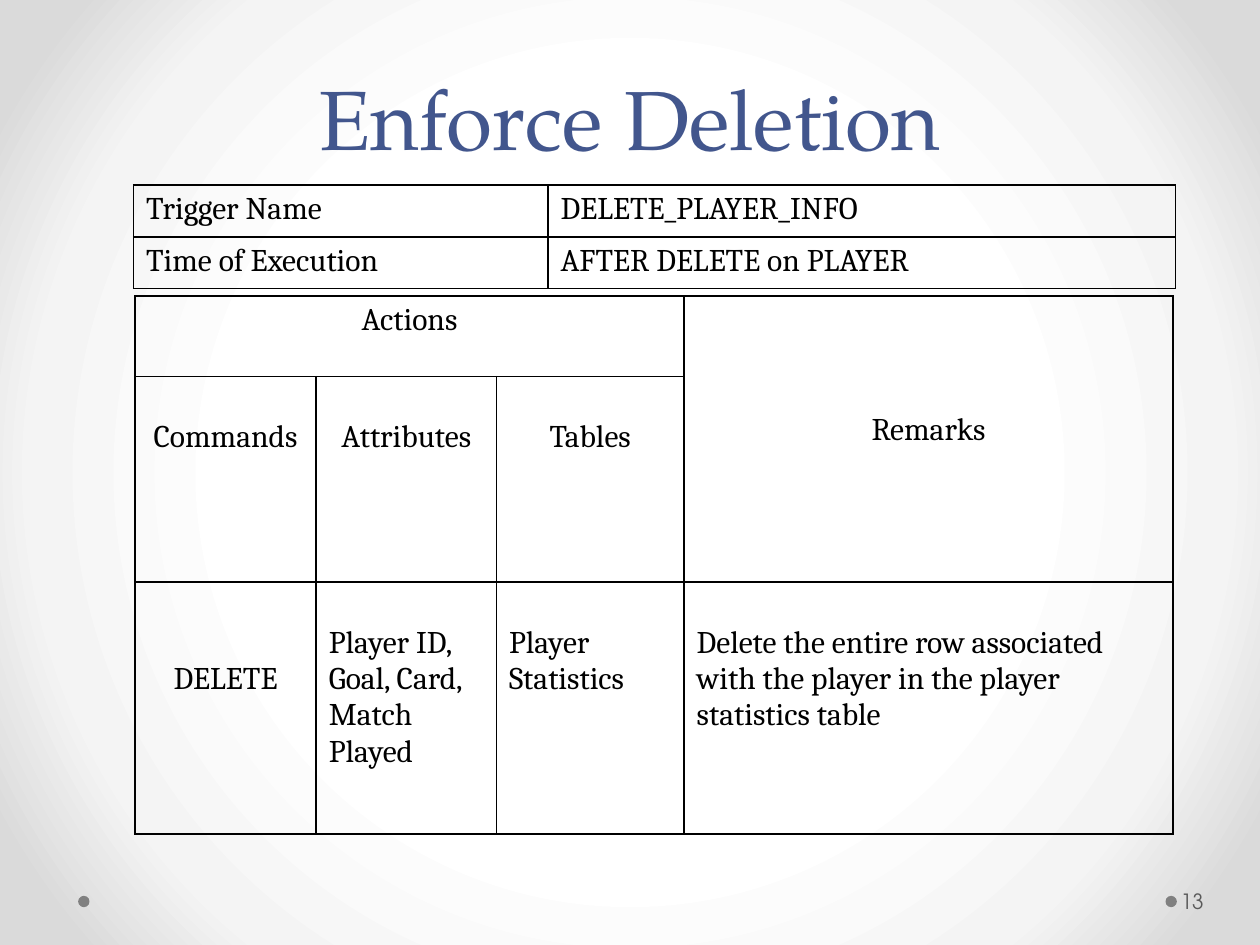
from lxml import etree
from pptx import Presentation
from pptx.dml.color import RGBColor
from pptx.enum.shapes import MSO_SHAPE
from pptx.enum.text import MSO_ANCHOR, MSO_AUTO_SIZE, PP_ALIGN
from pptx.oxml import parse_xml
from pptx.util import Inches, Pt

OVAL = MSO_SHAPE.OVAL
LEFT, CENTER = PP_ALIGN.LEFT, PP_ALIGN.CENTER
MIDDLE, BOTTOM = MSO_ANCHOR.MIDDLE, MSO_ANCHOR.BOTTOM
FIXED = MSO_AUTO_SIZE.NONE
SPACE = "http://schemas.openxmlformats.org/drawingml/2006/main"
MAIN = "http://schemas.openxmlformats.org/presentationml/2006/main"
LINE = 0.29


def color(code):
    return RGBColor.from_string(code)


def assign(item, values):
    for name, value in values.items():
        setattr(item, name, value)


class Deck:
    """Hold the style and the current slide, and draw each kind of element."""

    title_font = {"name": "TeX Gyre Pagella", "size": Pt(48)}
    cell_font = {"name": "Cambria", "size": Pt(18)}
    page_font = {"name": "TeX Gyre Adventor", "size": Pt(12)}
    ink, blue, gray, dot_fill = "000000", "42568D", "595959", "808080"
    stops = ((50, "FFFFFF"), (76, "F4F4F4"), (92, "DADADA"))

    def __init__(self):
        self.show = Presentation()
        self.show.slide_width, self.show.slide_height = Inches(10), Inches(7.5)
        self.slide = self.show.slides.add_slide(self.show.slide_layouts[5])
        self.shapes = self.slide.shapes

    def label(self, para, text, font, code, align=LEFT):
        para.text = text
        para.alignment = align
        assign(para.font, font)
        para.font.color.rgb = color(code)

    def back(self):
        marks = "".join(
            f'<a:gs pos="{pos * 1000}"><a:srgbClr val="{code}"/></a:gs>'
            for pos, code in self.stops)
        node = parse_xml(
            f'<p:bg xmlns:p="{MAIN}" xmlns:a="{SPACE}"><p:bgPr>'
            f'<a:gradFill rotWithShape="1"><a:gsLst>{marks}</a:gsLst>'
            '<a:path path="circle"><a:fillToRect l="50000" t="50000" '
            'r="50000" b="50000"/></a:path></a:gradFill><a:effectLst/>'
            '</p:bgPr></p:bg>')
        self.slide.element.cSld.insert(0, node)

    def dot(self, left, top, size):
        shape = self.shapes.add_shape(
            OVAL, Inches(left), Inches(top), Inches(size), Inches(size))
        shape.shadow.inherit = False
        shape.fill.solid()
        shape.fill.fore_color.rgb = color(self.dot_fill)
        shape.line.fill.background()

    def title(self, text, left, top, width, height):
        shape = self.shapes.title
        assign(shape, {"left": Inches(left), "top": Inches(top),
                       "width": Inches(width), "height": Inches(height)})
        frame = shape.text_frame
        assign(frame, {"word_wrap": True, "auto_size": FIXED,
                       "vertical_anchor": BOTTOM, "margin_bottom": 0})
        self.label(frame.paragraphs[0], text, self.title_font, self.blue, CENTER)

    def page(self, text, left, top, width, height):
        frame = self.shapes.add_textbox(
            Inches(left), Inches(top), Inches(width), Inches(height)).text_frame
        assign(frame, {"word_wrap": True, "vertical_anchor": MIDDLE,
                       "margin_left": Inches(0.03), "margin_right": Inches(0.05)})
        self.label(frame.paragraphs[0], text, self.page_font, self.gray)

    def border(self, cell):
        props = cell._tc.get_or_add_tcPr()
        for spot, side in enumerate(("lnL", "lnR", "lnT", "lnB")):
            edge = etree.Element(f"{{{SPACE}}}{side}", w=str(Pt(1)))
            fill = etree.SubElement(edge, f"{{{SPACE}}}solidFill")
            etree.SubElement(fill, f"{{{SPACE}}}srgbClr", val=self.ink)
            props.insert(spot, edge)

    def cell(self, cell, text, drop=0, align=LEFT):
        cell.margin_top = Inches(0.05 + drop * LINE)
        frame = cell.text_frame
        for spot, part in enumerate(text.split("\n")):
            para = frame.add_paragraph() if spot else frame.paragraphs[0]
            self.label(para, part, self.cell_font, self.ink, align)

    def table(self, left, top, cols, rows, cells, spans=()):
        grid = self.shapes.add_table(
            len(rows), len(cols), Inches(left), Inches(top),
            Inches(sum(cols)), Inches(sum(rows))).table
        assign(grid, {"first_row": False, "horz_banding": False})
        for col, width in zip(grid.columns, cols):
            col.width = Inches(width)
        for row, height in zip(grid.rows, rows):
            row.height = Inches(height)
        for cell in grid.iter_cells():
            cell.fill.background()
            self.border(cell)
        for start, end in spans:
            grid.cell(*start).merge(grid.cell(*end))
        for spot, entry in cells.items():
            self.cell(grid.cell(*spot), *entry)


def main():
    deck = Deck()
    deck.back()
    for left in (9.25, 0.62):
        deck.dot(left, 7.11, 0.09)
    deck.table(1.06, 1.47, (3.29, 4.98), (0.41, 0.41), {
        (0, 0): ("Trigger Name",),
        (0, 1): ("DELETE_PLAYER_INFO",),
        (1, 0): ("Time of Execution",),
        (1, 1): ("AFTER DELETE on PLAYER",),
    })
    deck.table(1.07, 2.35, (1.44, 1.43, 1.49, 3.88), (0.64, 1.63, 2), {
        (0, 0): ("Actions", 0, CENTER),
        (0, 3): ("Remarks", 3, CENTER),
        (1, 0): ("Commands", 1, CENTER),
        (1, 1): ("Attributes", 1, CENTER),
        (1, 2): ("Tables", 1, CENTER),
        (2, 0): ("DELETE", 2, CENTER),
        (2, 1): ("Player ID, Goal, Card, Match Played", 1),
        (2, 2): ("Player\nStatistics", 1),
        (2, 3): ("Delete the entire row associated with the player "
                 "in the player statistics table", 1),
    }, (((0, 0), (0, 2)), ((0, 3), (1, 3))))
    deck.page("13", 9.34, 6.95, 0.61, 0.4)
    deck.title("Enforce Deletion", 0.5, -0.42, 9, 1.75)
    deck.show.save("out.pptx")


if __name__ == "__main__":
    main()
